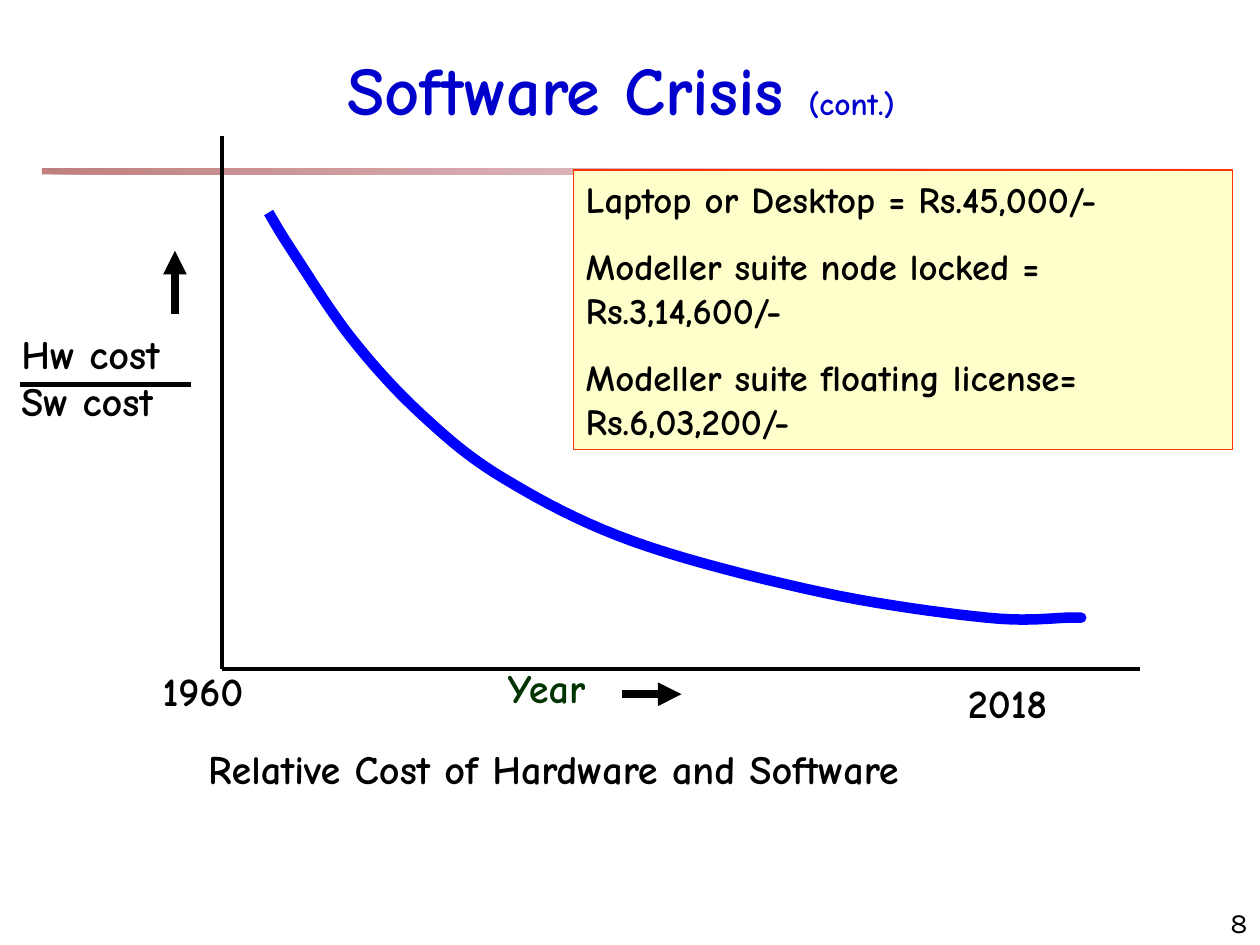
from dataclasses import dataclass

from lxml import etree
from pptx import Presentation
from pptx.dml.color import RGBColor
from pptx.enum.shapes import MSO_CONNECTOR, MSO_SHAPE
from pptx.enum.text import MSO_ANCHOR, PP_ALIGN
from pptx.oxml.ns import qn
from pptx.util import Pt

RECTANGLE = MSO_SHAPE.RECTANGLE
STRAIGHT = MSO_CONNECTOR.STRAIGHT
TOP, MIDDLE, BOTTOM = MSO_ANCHOR.TOP, MSO_ANCHOR.MIDDLE, MSO_ANCHOR.BOTTOM
LEFT, CENTER, RIGHT = PP_ALIGN.LEFT, PP_ALIGN.CENTER, PP_ALIGN.RIGHT


@dataclass(frozen=True)
class Theme:
    font: str = "Comic Neue"
    number_font: str = "Karla"
    title_size: float = 39
    continued_size: float = 18
    label_size: float = 23
    note_size: float = 21
    number_size: float = 16
    ink: str = "000000"
    title: str = "0000CC"
    curve: str = "0000FF"
    year: str = "003300"
    note_fill: str = "FFFFCC"
    note_line: str = "FF3300"
    rule_start: str = "800000"
    rule_end: str = "FAE2F6"


def color(code):
    return RGBColor.from_string(code)


def spline(knots, steps=10):
    """Return points on the Catmull-Rom curve through the knots."""
    padded = [knots[0], *knots, knots[-1]]
    points = [knots[0]]
    for a, b, c, d in zip(padded, padded[1:], padded[2:], padded[3:]):
        for step in range(1, steps + 1):
            t = step / steps
            points.append(tuple(
                q + t * (r - p) / 2
                + t ** 2 * (2 * p - 5 * q + 4 * r - s) / 2
                + t ** 3 * (3 * q - p - 3 * r + s) / 2
                for p, q, r, s in zip(a, b, c, d)))
    return points


class SlideBuilder:
    def __init__(self, slide, theme):
        self.slide = slide
        self.theme = theme

    def format_run(self, run, size, ink, font=None, bold=True):
        run.font.name = font or self.theme.font
        run.font.size = Pt(size)
        run.font.bold = bold
        run.font.color.rgb = color(ink)

    def fill_text(self, shape, lines, size=None, ink=None, font=None, bold=True,
                  align=LEFT, anchor=TOP, spacing=0.85, gap=0, inset=1.5):
        frame = shape.text_frame
        frame.word_wrap = True
        frame.vertical_anchor = anchor
        frame.margin_left = frame.margin_right = Pt(inset)
        frame.margin_top = frame.margin_bottom = Pt(3.6)
        frame.text = "\n".join(lines)
        for index, paragraph in enumerate(frame.paragraphs):
            paragraph.alignment = align
            paragraph.line_spacing = spacing
            if index:
                paragraph.space_before = Pt(gap)
            for run in paragraph.runs:
                self.format_run(run, size or self.theme.label_size,
                                ink or self.theme.ink, font, bold)

    def text(self, box, lines, **style):
        shape = self.slide.shapes.add_textbox(*map(Pt, box))
        self.fill_text(shape, lines, **style)
        return shape

    def title(self, box, main, suffix):
        theme = self.theme
        shape = self.text(box, [main], size=theme.title_size, ink=theme.title,
                          align=CENTER, anchor=MIDDLE, spacing=0.94)
        run = shape.text_frame.paragraphs[0].add_run()
        run.text = suffix
        self.format_run(run, theme.continued_size, theme.title)

    def rectangle(self, box):
        shape = self.slide.shapes.add_shape(RECTANGLE, *map(Pt, box))
        shape.shadow.inherit = False
        return shape

    def fading_rule(self, box):
        shape = self.rectangle(box)
        shape.line.fill.background()
        shape.fill.gradient()
        shape.fill.gradient_angle = 0
        ends = (self.theme.rule_start, self.theme.rule_end)
        for stop, code in zip(shape.fill.gradient_stops, ends):
            stop.color.rgb = color(code)
        for element in shape.fill._xPr.iter(qn("a:srgbClr")):
            etree.SubElement(element, qn("a:alpha"), val="50000")

    def note(self, box, lines):
        shape = self.rectangle(box)
        shape.fill.solid()
        shape.fill.fore_color.rgb = color(self.theme.note_fill)
        shape.line.color.rgb = color(self.theme.note_line)
        shape.line.width = Pt(0.75)
        self.fill_text(shape, lines, size=self.theme.note_size,
                       spacing=1, gap=13.1, inset=7.2)

    def line(self, start, end, width, arrow=False):
        connector = self.slide.shapes.add_connector(
            STRAIGHT, *map(Pt, (*start, *end)))
        connector.line.color.rgb = color(self.theme.ink)
        connector.line.width = Pt(width)
        if arrow:
            etree.SubElement(connector.line._get_or_add_ln(),
                             qn("a:tailEnd"), type="triangle")
        etree.SubElement(connector._element.spPr, qn("a:effectLst"))

    def curve(self, knots, width):
        points = [(Pt(x), Pt(y)) for x, y in spline(knots)]
        builder = self.slide.shapes.build_freeform(*points[0])
        builder.add_line_segments(points[1:], close=False)
        shape = builder.convert_to_shape()
        shape.shadow.inherit = False
        shape.fill.background()
        shape.line.color.rgb = color(self.theme.curve)
        shape.line.width = Pt(width)


def main():
    presentation = Presentation()
    presentation.slide_width, presentation.slide_height = Pt(720), Pt(540)
    slide = presentation.slides.add_slide(presentation.slide_layouts[6])
    theme = Theme()
    builder = SlideBuilder(slide, theme)

    builder.fading_rule((24, 96, 662, 3.6))
    builder.title((48, 8.6, 614, 89), "Software Crisis ", "(cont.)")

    origin = (126.7, 382.3)
    builder.line((126.7, 78), origin, 2.25)
    builder.line(origin, (651.6, 382.3), 2.25)
    builder.curve([(153.5, 121.5), (167, 143.5), (201, 193.5), (241, 237),
                   (288, 273.5), (362, 309.5), (469.5, 338.5), (564, 353),
                   (611.5, 353), (618, 353)], 6)

    builder.text((288.7, 379.5, 62.6, 35), ["Year"], ink=theme.year)
    builder.text((10.8, 188.6, 139, 91.5), ["Hw cost", "Sw cost"], gap=3.5)
    builder.line((11.5, 219.6), (109.4, 219.6), 3)
    builder.line((100, 179.3), (100, 143.3), 4.5, arrow=True)
    builder.line((355.7, 396.7), (389.5, 396.7), 4.5, arrow=True)
    builder.text((117.4, 426.2, 542, 40),
                 ["Relative Cost of Hardware and Software"])
    builder.text((91.4, 381.6, 73.5, 40), ["1960"])
    builder.text((551.5, 388.1, 73.5, 40), ["2018"])

    builder.note((327.6, 97.2, 376.6, 159.8), [
        "Laptop or Desktop = Rs.45,000/-",
        "Modeller suite node locked = Rs.3,14,600/-",
        "Modeller suite floating license= Rs.6,03,200/-",
    ])
    builder.text((570.2, 509.8, 149.8, 30.2), ["8"], size=theme.number_size,
                 font=theme.number_font, bold=False, align=RIGHT,
                 anchor=BOTTOM, spacing=1, inset=7.2)

    presentation.save("out.pptx")


if __name__ == "__main__":
    main()
